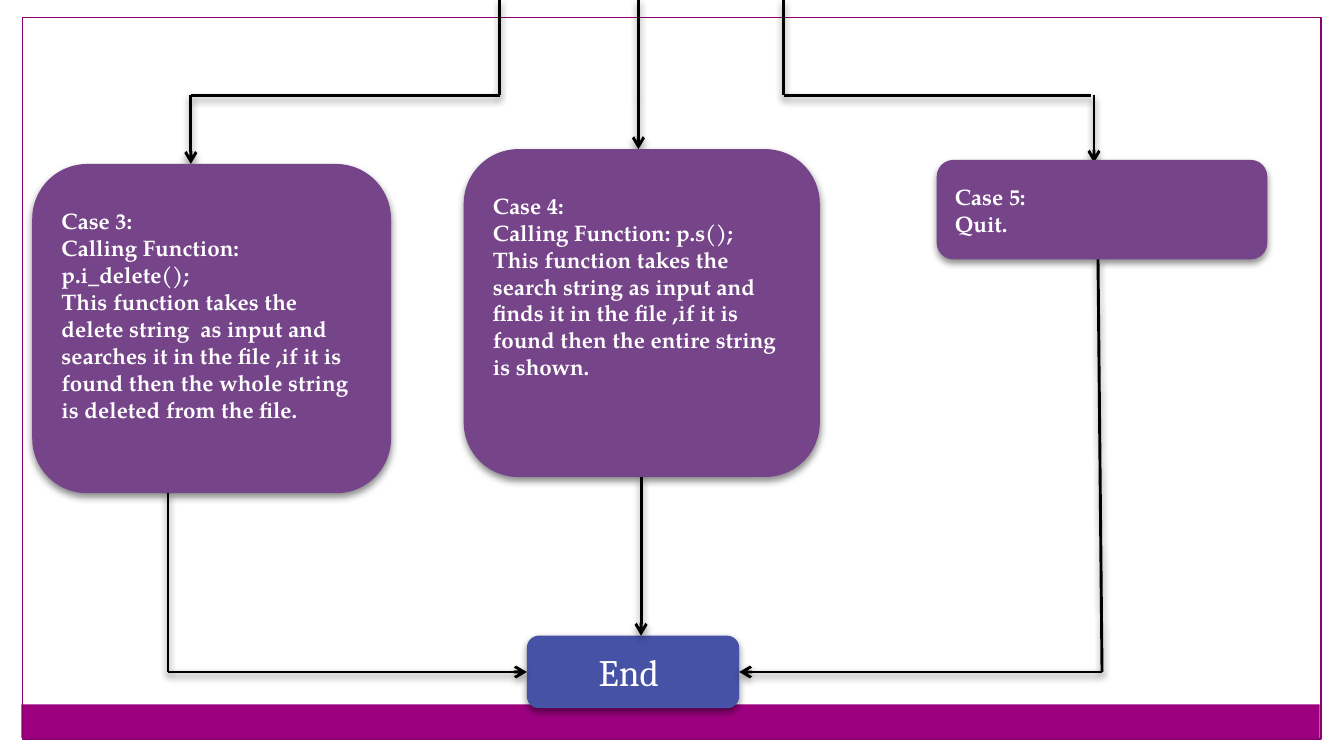
"""Build the closing part of a menu flowchart: three cases leading to End."""
import pptx
import pptx.util
import pptx.dml.color
import pptx.enum.shapes
import pptx.enum.text
import pptx.oxml
import pptx.oxml.ns

Inches, Pt = pptx.util.Inches, pptx.util.Pt
SHAPE = pptx.enum.shapes.MSO_SHAPE
ALIGN = pptx.enum.text.PP_ALIGN
COLORS = {"band": "9C007F", "frame": "8A0070", "case": "764589",
          "end": "4552A5", "text": "FFFFFF", "line": "000000"}
FORMATS = {
    "case": {"name": "TeX Gyre Pagella", "size": Pt(12), "bold": True},
    "end": {"name": "Cambria", "size": Pt(20), "bold": False},
}
SHADOW = (
    '<a:effectLst %s><a:outerShdw blurRad="%d" dist="%d" dir="5400000" rotWithShape="0">'
    '<a:srgbClr val="000000"><a:alpha val="45000"/></a:srgbClr>'
    '</a:outerShdw></a:effectLst>'
) % (pptx.oxml.ns.nsdecls("a"), Pt(4), Pt(2))


class Flowchart:
    """Hold the slide and the style of its boxes and lines."""

    def __init__(self, slide):
        self.s = slide

    def rgb(self, key):
        return pptx.dml.color.RGBColor.from_string(COLORS[key])

    def add_shadow(self, sp):
        sp._element.spPr.append(pptx.oxml.parse_xml(SHADOW))

    def shape(self, kind, at, fill=None, line=None):
        sp = self.s.shapes.add_shape(kind, *map(Inches, at))
        sp.shadow.inherit = False
        if fill:
            sp.fill.solid()
            sp.fill.fore_color.rgb = self.rgb(fill)
        else:
            sp.fill.background()
        if line:
            sp.line.color.rgb = self.rgb(line)
            sp.line.width = Pt(0.75)
        else:
            sp.line.fill.background()
        return sp

    def box(self, at, style, texts, align=ALIGN.LEFT, lift=0):
        sp = self.shape(SHAPE.ROUNDED_RECTANGLE, at, style)
        effects = sp._element.spPr.find(pptx.oxml.ns.qn("a:effectLst"))
        sp._element.spPr.remove(effects)
        self.add_shadow(sp)
        tf = sp.text_frame
        layout = {"word_wrap": True, "vertical_anchor": pptx.enum.text.MSO_ANCHOR.MIDDLE,
                  "margin_left": Inches(0.1), "margin_right": Inches(0.1),
                  "margin_top": Inches(0.05), "margin_bottom": Inches(0.05 + 2 * lift)}
        for key, value in layout.items():
            setattr(tf, key, value)
        for i, text in enumerate(texts):
            p = tf.add_paragraph() if i else tf.paragraphs[0]
            p.alignment = align
            r = p.add_run()
            r.text = text
            for key, value in FORMATS[style].items():
                setattr(r.font, key, value)
            r.font.color.rgb = self.rgb("text")

    def route(self, points, arrow=True):
        for i, (start, end) in enumerate(zip(points, points[1:]), 2):
            cx = self.s.shapes.add_connector(
                pptx.enum.shapes.MSO_CONNECTOR.STRAIGHT, *map(Inches, start + end))
            cx.line.color.rgb = self.rgb("line")
            cx.line.width = Pt(1.57)
            if arrow and i == len(points):
                cx.line._get_or_add_ln().append(pptx.oxml.parse_xml(
                    '<a:tailEnd %s type="arrow"/>' % pptx.oxml.ns.nsdecls("a")))
            self.add_shadow(cx)


prs = pptx.Presentation()
prs.slide_width = Inches(10)
prs.slide_height = prs.slide_width * 9 // 16
chart = Flowchart(prs.slides.add_slide(prs.slide_layouts[6]))

chart.shape(SHAPE.RECTANGLE, (0.16, 5.24, 9.66, 0.25), fill="band")
chart.shape(SHAPE.RECTANGLE, (0.17, 0.13, 9.66, 5.37), line="frame")

bend, floor = 0.71, 5
chart.route([(3.72, 0), (3.72, bend), (1.42, bend), (1.42, 1.22)])
chart.route([(4.75, 0), (4.75, bend), (4.75, 1.11)])
chart.route([(5.83, 0), (5.83, bend), (8.12, bend)], arrow=False)
chart.route([(8.14, bend), (8.14, 1.21)])

cases = [
    ((0.24, 1.22, 2.67, 2.45), 0.1, [
        "Case 3:", "Calling Function: p.i_delete();",
        "This function takes the delete string  as input and searches it in the file ,"
        "if it is found then the whole string is deleted from the file."]),
    ((3.45, 1.11, 2.65, 2.44), 0.2, [
        "Case 4:", "Calling Function: p.s();",
        "This function takes the search string as input and finds it in the file ,"
        "if it is found then the entire string is shown."]),
    ((6.97, 1.19, 2.46, 0.74), 0, ["Case 5:", "Quit."]),
]
for at, lift, texts in cases:
    chart.box(at, "case", texts, lift=lift)
chart.box((3.92, 4.73, 1.58, 0.54), "end", ["End "], ALIGN.CENTER)

chart.route([(1.25, 3.67), (1.25, floor), (3.92, floor)])
chart.route([(4.77, 3.55), (4.77, 4.73)])
chart.route([(8.17, 1.93), (8.2, floor), (5.5, floor)])

prs.save("out.pptx")
